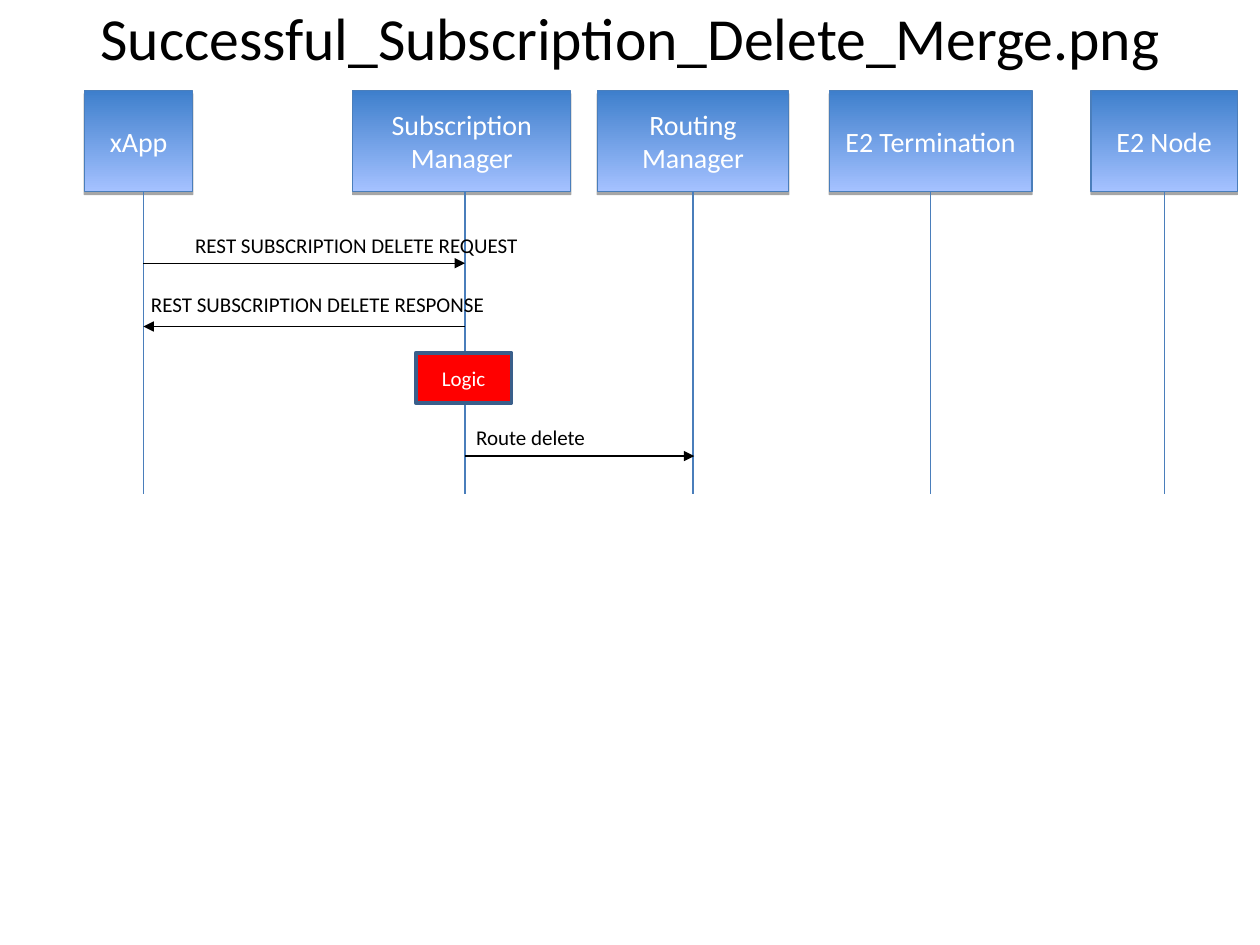
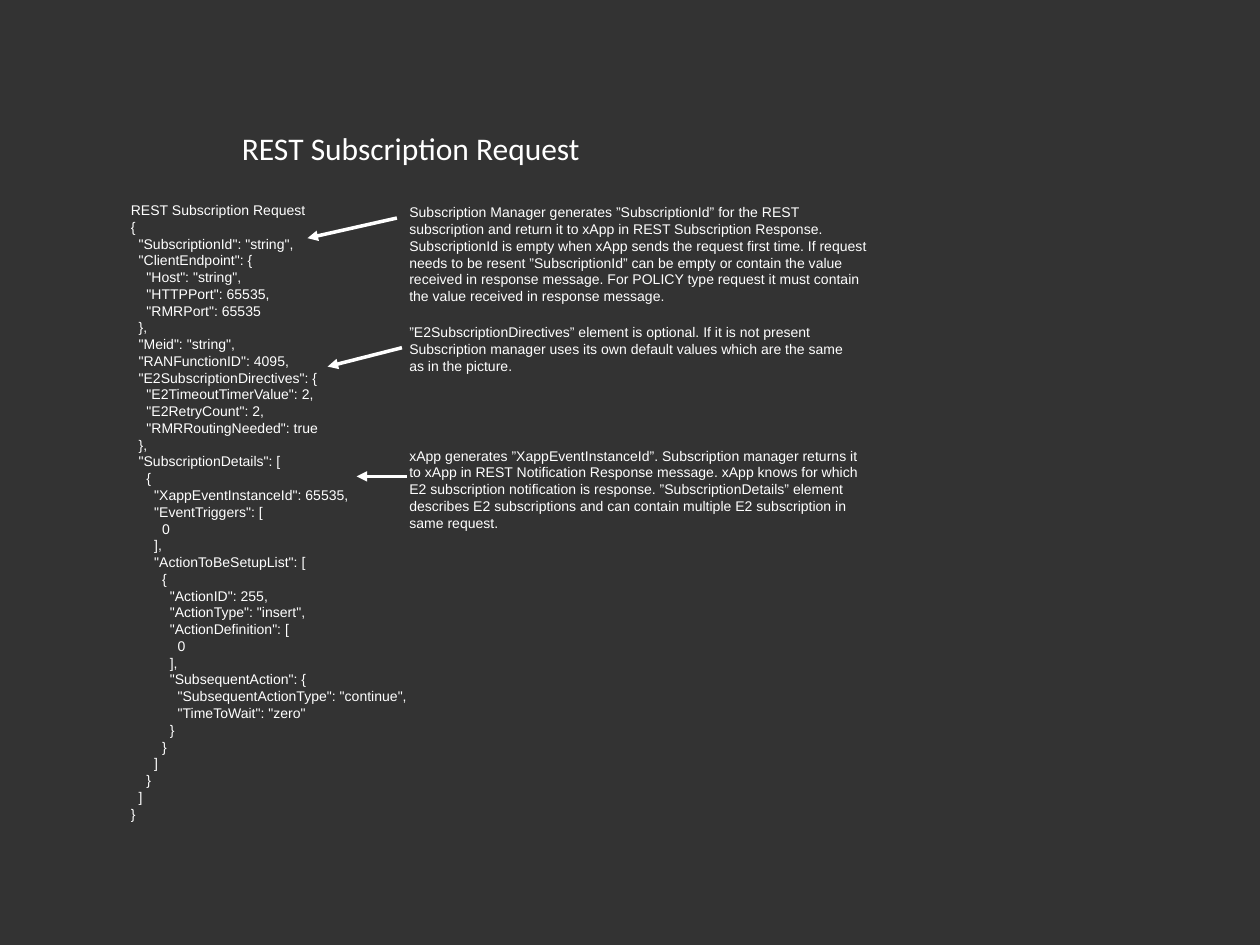
from lxml import etree
from pptx import Presentation
from pptx.dml.color import RGBColor
from pptx.enum.shapes import MSO_CONNECTOR, MSO_SHAPE
from pptx.enum.text import MSO_ANCHOR, MSO_AUTO_SIZE, PP_ALIGN
from pptx.oxml import parse_xml
from pptx.oxml.ns import nsdecls, qn
from pptx.util import Pt

RECT = MSO_SHAPE.RECTANGLE
LINE = MSO_CONNECTOR.STRAIGHT
MIDDLE = MSO_ANCHOR.MIDDLE
FIXED = MSO_AUTO_SIZE.NONE
LEFT, CENTER = PP_ALIGN.LEFT, PP_ALIGN.CENTER

BLACK, WHITE, DARK = "000000", "FFFFFF", "333333"
BLUE, SKY, EDGE = "3E7FCC", "A4C1FF", "4A7EBB"
RED, NAVY = "FF0000", "3A5F8B"
SANS, CODE = "Calibri", "Arial"

HEAD_TOP, HEAD_HIGH, LIFE_END = 51.8, 57.6, 282.2
APP, MGR, ROUTE = 82, 265.7, 396.7

# name, left, width, lifeline x (None: middle of the box)
ACTORS = [
    ("xApp", 48.2, 62, APP),
    ("Subscription Manager", 201.6, 124.6, MGR),
    ("Routing\nManager", 341.3, 109.4, None),
    ("E2 Termination", 473.8, 115.9, None),
    ("E2 Node", 623.5, 83.5, None),
]

# text, text left, text top, from x, to x, arrow y
CALLS = [
    ("REST SUBSCRIPTION DELETE REQUEST", 104.4, 129.6, APP, MGR, 150.4),
    ("REST SUBSCRIPTION DELETE RESPONSE", 79.2, 162.8, MGR, APP, 186.6),
    ("Route delete", 265, 239.2, MGR, ROUTE, 260.6),
]

REQUEST = """REST Subscription Request
{
  "SubscriptionId": "string",
  "ClientEndpoint": {
    "Host": "string",
    "HTTPPort": 65535,
    "RMRPort": 65535
  },
  "Meid": "string",
  "RANFunctionID": 4095,
  "E2SubscriptionDirectives": {
    "E2TimeoutTimerValue": 2,
    "E2RetryCount": 2,
    "RMRRoutingNeeded": true
  },
  "SubscriptionDetails": [
    {
      "XappEventInstanceId": 65535,
      "EventTriggers": [
        0
      ],
      "ActionToBeSetupList": [
        {
          "ActionID": 255,
          "ActionType": "insert",
          "ActionDefinition": [
            0
          ],
          "SubsequentAction": {
            "SubsequentActionType": "continue",
            "TimeToWait": "zero"
          }
        }
      ]
    }
  ]
}"""

# text, top, width, height, arrow start, arrow end
NOTES = [
    ("Subscription Manager generates ”SubscriptionId” for the REST "
     "subscription and return it to xApp in REST Subscription Response. "
     "SubscriptionId is empty when xApp sends the request first time. "
     "If request needs to be resent ”SubscriptionId” can be empty or "
     "contain the value received in response message. For POLICY type "
     "request it must contain the value received in response message.",
     113, 278, 66, (226.8, 124.6), (175.7, 136.1)),
    ("”E2SubscriptionDirectives” element is optional. If it is not present "
     "Subscription manager uses its own default values which are the same "
     "as in the picture.",
     181.4, 266.4, 43.2, (229.7, 198.7), (187.2, 209.5)),
    ("xApp generates ”XappEventInstanceId”. Subscription manager returns it "
     "to xApp in REST Notification Response message. xApp knows for which "
     "E2 subscription notification is response. ”SubscriptionDetails” element "
     "describes E2 subscriptions and can contain multiple E2 subscription in "
     "same request.",
     252, 272.2, 59.8, (232.6, 272.2), (203.8, 272.2)),
]


def color(value):
    return RGBColor.from_string(value)


def style(frame, size, font, shade, align=LEFT):
    for para in frame.paragraphs:
        para.alignment = align
        for run in para.runs:
            run.font.size = Pt(size)
            run.font.name = font
            run.font.color.rgb = color(shade)


def add_page(deck, back, title, place, size, shade, align):
    """Add a slide with its background and title; return it."""
    page = deck.slides.add_slide(deck.slide_layouts[5])
    page.background.fill.solid()
    page.background.fill.fore_color.rgb = color(back)
    head = page.shapes.title
    head.left, head.top, head.width, head.height = map(Pt, place)
    frame = head.text_frame
    frame.text = title
    frame.auto_size = FIXED
    frame.vertical_anchor = MIDDLE
    style(frame, size, SANS, shade, align)
    return page


def add_label(page, text, place, size, font, shade):
    frame = page.shapes.add_textbox(*map(Pt, place)).text_frame
    frame.word_wrap = True
    frame.text = text
    style(frame, size, font, shade)


def add_box(page, text, place, size, edge, width):
    """Add a rectangle with centred white text; the caller fills it."""
    box = page.shapes.add_shape(RECT, *map(Pt, place))
    box.shadow.inherit = False
    box.line.color.rgb = color(edge)
    box.line.width = Pt(width)
    box.text_frame.text = text
    box.text_frame.vertical_anchor = MIDDLE
    style(box.text_frame, size, SANS, WHITE, CENTER)
    return box


def add_line(page, start, end, shade, width=0.75, arrow=False):
    line = page.shapes.add_connector(LINE, *map(Pt, start + end))
    line.line.color.rgb = color(shade)
    line.line.width = Pt(width)
    if arrow:
        tip = etree.SubElement(line.line._get_or_add_ln(), qn("a:tailEnd"))
        tip.set("type", "triangle")
    etree.SubElement(line._element.spPr, qn("a:effectLst"))
    return line


def add_actor(page, name, left, width, life):
    """Add a gradient head box and the lifeline under it."""
    place = (left, HEAD_TOP, width, HEAD_HIGH)
    box = add_box(page, name, place, 16, EDGE, 0.75)
    box.fill.gradient()
    box.fill.gradient_angle = 270
    for stop, shade in zip(box.fill.gradient_stops, (BLUE, SKY)):
        stop.color.rgb = color(shade)
    box._element.spPr.find(qn("a:effectLst")).append(parse_xml(
        f'<a:outerShdw {nsdecls("a")} dist="{Pt(1.8)}" dir="5400000" '
        f'rotWithShape="0"><a:srgbClr val="{BLACK}"><a:alpha val="35000"/>'
        '</a:srgbClr></a:outerShdw>'))
    x = life or left + width / 2
    line = add_line(page, (x, HEAD_TOP + HEAD_HIGH), (x, LIFE_END), EDGE)
    if life is None:
        line.begin_connect(box, 2)


def add_call(page, text, left, top, start, end, y):
    add_label(page, text, (left, top, 230, 21.6), 12, SANS, BLACK)
    add_line(page, (start, y), (end, y), BLACK, arrow=True)


def add_note(page, text, top, width, height, start, end):
    add_label(page, text, (226.8, top, width, height), 8, CODE, WHITE)
    add_line(page, start, end, WHITE, 0, arrow=True)


def draw_flow(deck):
    page = add_page(deck, WHITE, "Successful_Subscription_Delete_Merge.png",
                    (36, 3.6, 648, 41.8), 34.1, BLACK, CENTER)
    page.shapes.title.text_frame.paragraphs[0].line_spacing = 0.8
    for actor in ACTORS:
        add_actor(page, *actor)
    logic = add_box(page, "Logic", (237.6, 201.6, 54.7, 28.8), 12, NAVY, 2)
    logic.fill.solid()
    logic.fill.fore_color.rgb = color(RED)
    for call in CALLS:
        add_call(page, *call)


def draw_request(deck):
    page = add_page(deck, DARK, "REST Subscription Request",
                    (138.2, 56.9, 275.8, 54.7), 18, WHITE, LEFT)
    frame = page.shapes.title.text_frame
    frame.margin_left = frame.margin_right = 0
    frame.margin_top = frame.margin_bottom = 0
    add_label(page, REQUEST, (67.7, 111.6, 181.4, 358.6), 8, CODE, WHITE)
    for note in NOTES:
        add_note(page, *note)


def main():
    deck = Presentation()
    deck.slide_width, deck.slide_height = Pt(720), Pt(540)
    draw_flow(deck)
    draw_request(deck)
    deck.save("out.pptx")


if __name__ == "__main__":
    main()
